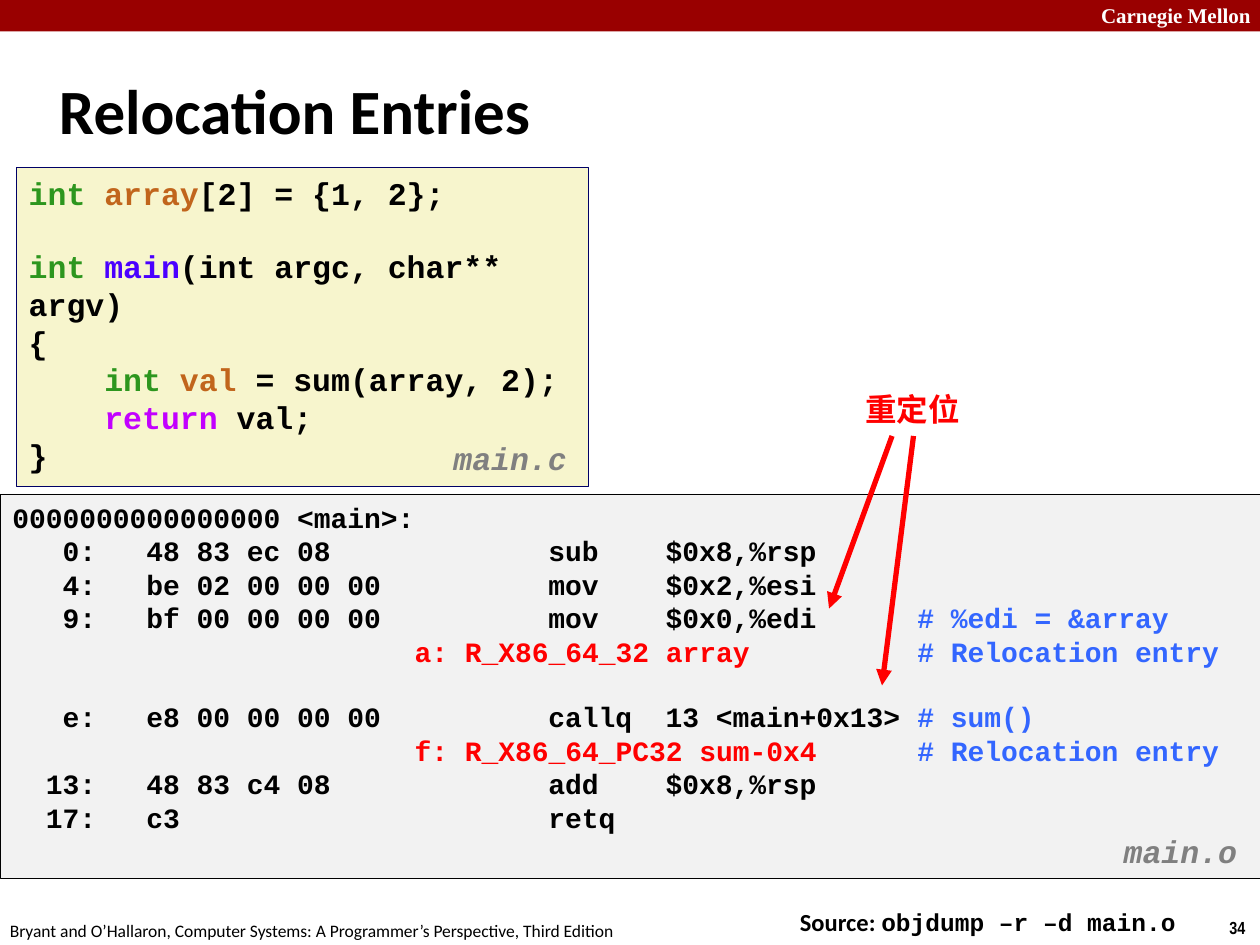
import pptx
import pptx.dml.color
import pptx.enum.shapes
import pptx.enum.text
import pptx.oxml
import pptx.oxml.ns
import pptx.util
from pptx.util import Inches

BLACK, WHITE, RED, GRAY = "000000", "FFFFFF", "FF0000", "808080"
GREEN, ORANGE, VIOLET, MAGENTA, BLUE = "2D961E", "C1651C", "4A00FF", "C200FF", "3366FF"
MONO = "Courier New"

SOURCE_CODE = [
    [("int ", GREEN), ("array", ORANGE), "[2] = {1, 2};"],
    [],
    [("int ", GREEN), ("main", VIOLET), "(int argc, char** argv)"],
    ["{"],
    ["    ", ("int ", GREEN), ("val", ORANGE), " = sum(array, 2);"],
    ["    ", ("return", MAGENTA), " val;"],
    ["}"],
]
ENTRY_COMMENT = ("# Relocation entry", BLUE)
ENTRY_INDENT = " " * 24
DISASSEMBLY = [
    ["0000000000000000 <main>:"],
    ["   0:   48 83 ec 08             sub    $0x8,%rsp"],
    ["   4:   be 02 00 00 00          mov    $0x2,%esi"],
    ["   9:   bf 00 00 00 00          mov    $0x0,%edi      ", ("# %edi = &array", BLUE)],
    [ENTRY_INDENT, ("a: R_X86_64_32 array          ", RED), ENTRY_COMMENT],
    [],
    ["   e:   e8 00 00 00 00          callq  13 <main+0x13> ", ("# sum()", BLUE)],
    [ENTRY_INDENT, ("f: R_X86_64_PC32 sum-0x4      ", RED), ENTRY_COMMENT],
    ["  13:   48 83 c4 08             add    $0x8,%rsp"],
    ["  17:   c3                      retq"],
]


def color(value):
    """Turn a hex string into a colour."""
    return pptx.dml.color.RGBColor.from_string(value)


def style(font, size, name, ink, bold=True, italic=False):
    """Set the look of a font."""
    font.size = pptx.util.Pt(size)
    font.name = name
    font.bold = bold
    font.italic = italic
    font.color.rgb = color(ink)


def add_label(page, place, text, size, name="Calibri", ink=BLACK, bold=True,
              italic=False, wrap=False, spacing=None):
    """Add a one-line text box and return its paragraph."""
    frame = page.shapes.add_textbox(*map(Inches, place)).text_frame
    frame.word_wrap = wrap
    para = frame.paragraphs[0]
    para.add_run().text = text
    style(para.font, size, name, ink, bold, italic)
    if spacing:
        para.line_spacing = spacing
    return para


def add_panel(page, place, fill, line=None):
    """Add a filled rectangle, outlined when a line colour is given."""
    panel = page.shapes.add_shape(
        pptx.enum.shapes.MSO_SHAPE.RECTANGLE, *map(Inches, place))
    panel.shadow.inherit = False
    panel.fill.solid()
    panel.fill.fore_color.rgb = color(fill)
    if line:
        panel.line.color.rgb = color(line)
        panel.line.width = pptx.util.Pt(0.25)
    else:
        panel.line.fill.background()
    return panel


def add_code(page, place, fill, line, rows, size):
    """Add a panel of coloured code, an empty row becoming a one-line gap."""
    frame = add_panel(page, place, fill, line).text_frame
    frame.word_wrap = True
    frame.vertical_anchor = pptx.enum.text.MSO_ANCHOR.TOP
    para, gap = None, 0
    for row in rows:
        if not row:
            gap += size * 1.13
            continue
        para = frame.add_paragraph() if para else frame.paragraphs[0]
        para.alignment = pptx.enum.text.PP_ALIGN.LEFT
        if gap:
            para.space_before = pptx.util.Pt(round(gap, 1))
            gap = 0
        style(para.font, size, MONO, BLACK)
        for part in row:
            text, ink = (part, BLACK) if isinstance(part, str) else part
            span = para.add_run()
            span.text = text
            span.font.color.rgb = color(ink)


def add_arrow(page, start, end):
    """Add a red arrow between two points."""
    arrow = page.shapes.add_connector(
        pptx.enum.shapes.MSO_CONNECTOR.STRAIGHT, *map(Inches, start + end))
    arrow.line.color.rgb = color(RED)
    arrow.line.width = pptx.util.Pt(3)
    namespace = pptx.oxml.ns.nsdecls("a")
    arrow.line._get_or_add_ln().append(
        pptx.oxml.parse_xml(f'<a:tailEnd {namespace} type="triangle"/>'))
    arrow._element.spPr.append(pptx.oxml.parse_xml(f"<a:effectLst {namespace}/>"))


def add_frame(page):
    """Add the header bar, footer and page number."""
    add_panel(page, (0, 0, 10, 0.25), "990000")
    add_label(page, (8.64, -0.03, 1.43, 0.3), "Carnegie Mellon", 12,
              "Times New Roman", WHITE, wrap=True)
    add_label(page, (9.66, 7.23, 0.34, 0.27), "34", 10, "Arial Narrow")
    add_label(page, (-0.02, 7.25, 5.08, 0.27),
              "Bryant and O’Hallaron, Computer Systems: "
              "A Programmer’s Perspective, Third Edition", 10, bold=False)


def main():
    """Build the slide and save it."""
    deck = pptx.Presentation()
    deck.slide_width, deck.slide_height = Inches(10), Inches(7.5)
    page = deck.slides.add_slide(deck.slide_layouts[6])
    add_frame(page)

    title = add_label(page, (0.37, 0.49, 9.53, 0.86), "Relocation Entries", 36,
                      wrap=True, spacing=0.82)
    title._parent.vertical_anchor = pptx.enum.text.MSO_ANCHOR.MIDDLE
    command = add_label(page, (6.25, 7.16, 3.21, 0.34), "Source: ", 14, spacing=0.98)
    span = command.add_run()
    span.text = "objdump –r –d main.o"
    span.font.name = MONO

    add_code(page, (0, 3.92, 10, 3.05), "F2F2F2", BLACK, DISASSEMBLY, 16)
    add_code(page, (0.13, 1.33, 4.54, 2.53), "F7F5CD", "000066", SOURCE_CODE, 18)
    for left, top, name in ((8.82, 6.58, "main.o"), (3.5, 3.46, "main.c")):
        add_label(page, (left, top, 1.17, 0.39), name, 18, MONO, GRAY,
                  italic=True, spacing=0.94)

    add_arrow(page, (7.08, 3.46), (6.58, 4.83))
    add_arrow(page, (7.25, 3.46), (7, 5.44))
    add_label(page, (6.77, 3.05, 0.96, 0.4), "重定位", 18, ink=RED)
    deck.save("out.pptx")


if __name__ == "__main__":
    main()
